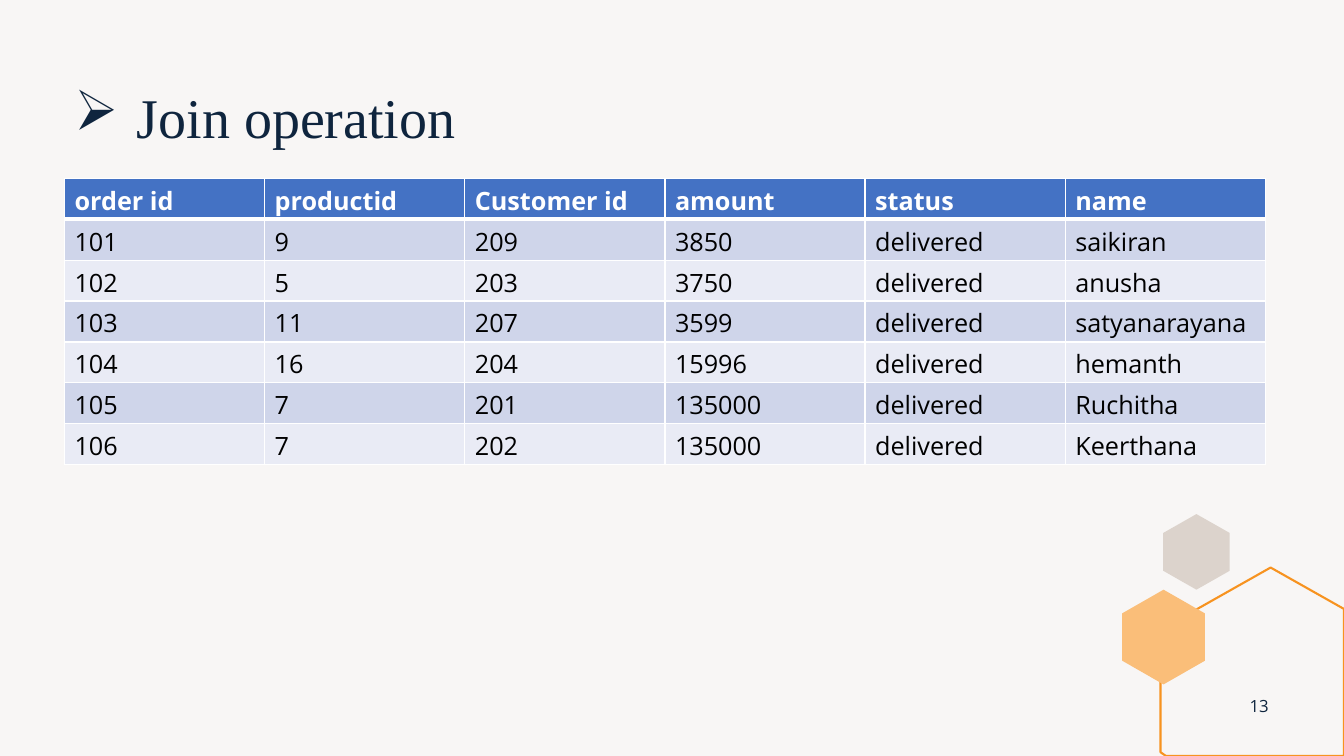
from lxml import etree
from pptx import Presentation
from pptx import util as u
from pptx.dml.color import RGBColor
from pptx.enum import text
from pptx.oxml.ns import qn

WIDTH, HEIGHT = u.Inches(13.33), u.Inches(7.5)
PAPER = RGBColor(0xF8, 0xF6, 0xF5)
SAND = RGBColor(0xDC, 0xD3, 0xCC)
ORANGE = RGBColor(0xF7, 0x93, 0x20)
APRICOT = RGBColor(0xFA, 0xBE, 0x79)
NAVY = RGBColor(0x0F, 0x25, 0x3E)
BLUE = RGBColor(0x44, 0x72, 0xC4)
BANDS = RGBColor(0xCF, 0xD5, 0xEA), RGBColor(0xE9, 0xEB, 0xF5)
WHITE = RGBColor(0xFF, 0xFF, 0xFF)
BLACK = RGBColor(0, 0, 0)

HEXAGON = [(0.5, 0), (1, 0.25), (1, 0.75), (0.5, 1), (0, 0.75), (0, 0.25)]
HOUSE = [(0.6, 0), (1, 0.22), (1, 1), (0.03, 1), (0, 0.98), (0, 0.33)]

ORDERS = [
    ("order id", "productid", "Customer id", "amount", "status", "name"),
    ("101", "9", "209", "3850", "delivered", "saikiran"),
    ("102", "5", "203", "3750", "delivered", "anusha"),
    ("103", "11", "207", "3599", "delivered", "satyanarayana"),
    ("104", "16", "204", "15996", "delivered", "hemanth"),
    ("105", "7", "201", "135000", "delivered", "Ruchitha"),
    ("106", "7", "202", "135000", "delivered", "Keerthana"),
]


def box(left, top, width, height):
    return [round(percent * side / 100) for percent, side in
            zip((left, top, width, height), (WIDTH, HEIGHT) * 2)]


def write(tf, words, font="Open Sans", size=18, color=BLACK, bold=False,
          align=None, spacing=None):
    p = tf.paragraphs[0]
    p.alignment, p.line_spacing = align, spacing
    r = p.add_run()
    r.text = words
    r.font.name, r.font.size, r.font.bold = font, u.Pt(size), bold
    r.font.color.rgb = color
    return p


def add_text(slide, place, words, **style):
    tf = slide.shapes.add_textbox(*box(*place)).text_frame
    tf.word_wrap = True
    tf.vertical_anchor = text.MSO_ANCHOR.MIDDLE
    return write(tf, words, **style)


def add_bullet(p, char, indent):
    pPr = p._p.get_or_add_pPr()
    pPr.set("marL", str(indent))
    pPr.set("indent", str(-indent))
    etree.SubElement(pPr, qn("a:buChar"), char=char)


def add_outline(slide, place, corners, fill=None, line=None):
    left, top, width, height = box(*place)
    points = [(left + x * width, top + y * height) for x, y in corners]
    builder = slide.shapes.build_freeform(*points[0])
    builder.add_line_segments(points[1:], close=True)
    sp = builder.convert_to_shape()
    sp.shadow.inherit = False
    if fill is None:
        sp.fill.background()
    else:
        sp.fill.solid()
        sp.fill.fore_color.rgb = fill
    if line is None:
        sp.line.fill.background()
    else:
        sp.line.color.rgb = line
        sp.line.width = u.Pt(1.5)


def add_borders(cell, bottom):
    tcPr = cell._tc.get_or_add_tcPr()
    for side, points in zip("LRTB", (1, 1, 1, bottom)):
        ln = etree.SubElement(tcPr, qn("a:ln" + side), w=str(u.Pt(points)))
        solid = etree.SubElement(ln, qn("a:solidFill"))
        etree.SubElement(solid, qn("a:srgbClr"), val=str(WHITE))


def add_table(slide, place, rows):
    table = slide.shapes.add_table(len(rows), len(rows[0]), *box(*place)).table
    for i, row in enumerate(rows):
        header = i == 0
        for j, words in enumerate(row):
            cell = table.cell(i, j)
            add_borders(cell, bottom=3 if header else 1)
            cell.fill.solid()
            cell.fill.fore_color.rgb = BLUE if header else BANDS[(i - 1) % 2]
            if not header:
                cell.vertical_anchor = text.MSO_ANCHOR.MIDDLE
            write(cell.text_frame, words, bold=header,
                  color=WHITE if header else BLACK)


def main():
    prs = Presentation()
    prs.slide_width, prs.slide_height = WIDTH, HEIGHT
    slide = prs.slides.add_slide(prs.slide_layouts[6])
    slide.background.fill.solid()
    slide.background.fill.fore_color.rgb = PAPER

    add_outline(slide, (86.55, 68, 4.95, 10), HEXAGON, fill=SAND)
    add_outline(slide, (86.35, 75.07, 13.65, 24.93), HOUSE, line=ORANGE)
    add_outline(slide, (83.5, 78, 6.15, 12.53), HEXAGON, fill=APRICOT)

    title = add_text(slide, (4.8, 10.53, 89.35, 10.8), "Join operation",
                     font="Times New Roman", size=40, color=NAVY, spacing=0.9)
    add_bullet(title, "➢", u.Inches(0.62))
    add_table(slide, (4.8, 23.6, 89.35, 37.87), ORDERS)
    add_text(slide, (91.82, 90.67, 3.75, 5.33), "13", size=12, color=NAVY,
             align=text.PP_ALIGN.CENTER)
    prs.save("out.pptx")


main()
